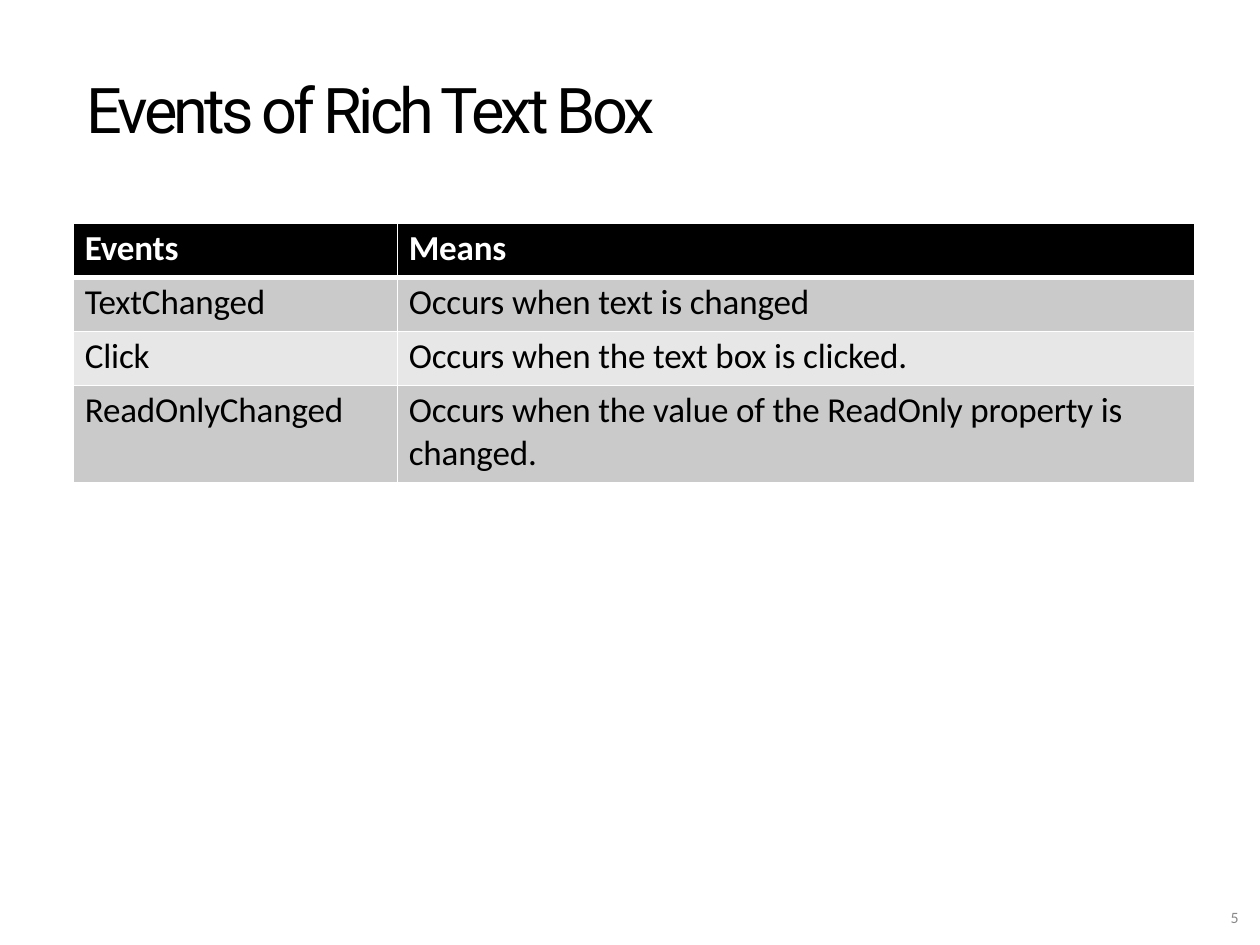
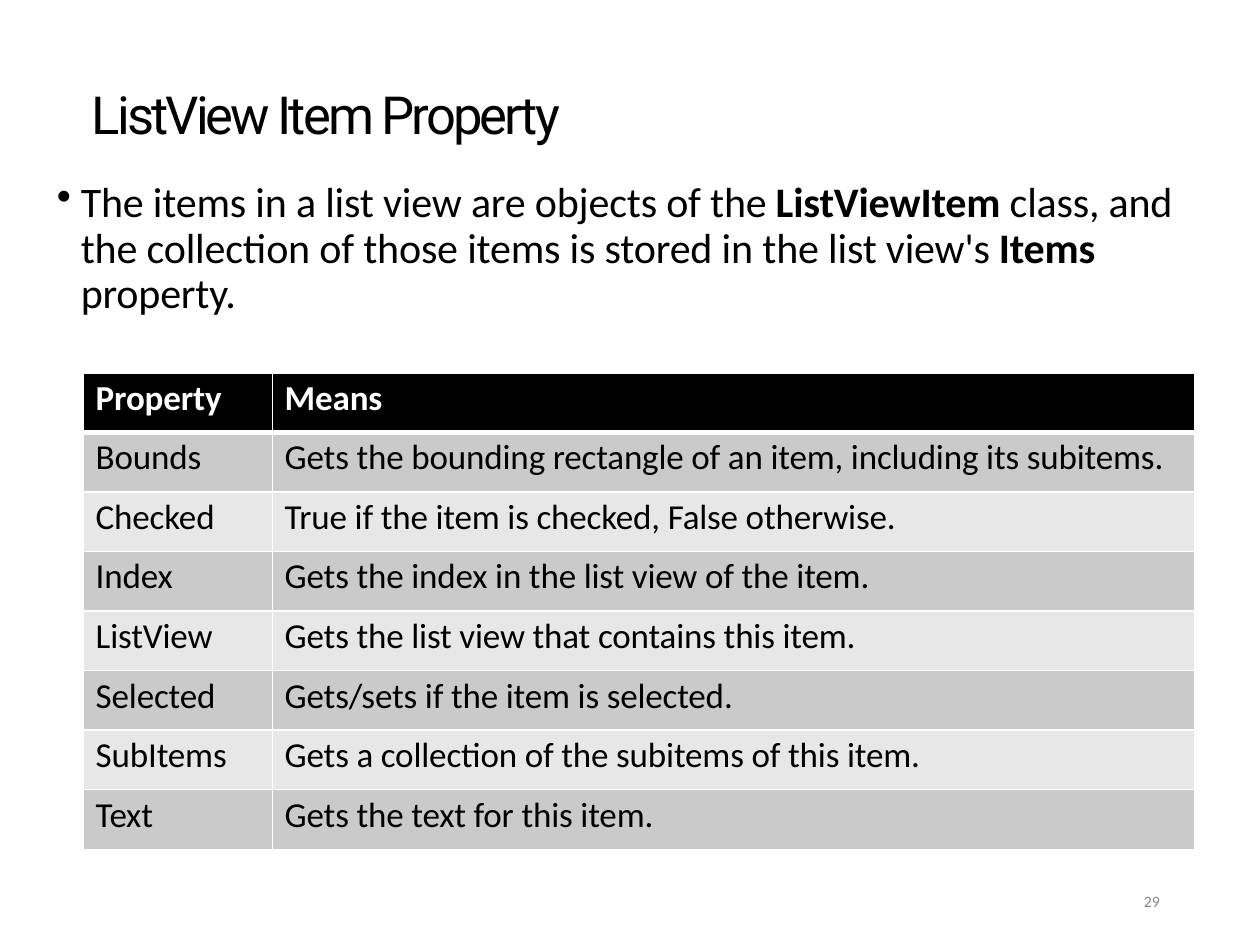
"""Build two slides on RichTextBox events and ListView item properties."""
from dataclasses import dataclass

from lxml.etree import SubElement
from pptx import Presentation
from pptx.dml.color import RGBColor
from pptx.enum.text import MSO_ANCHOR, MSO_AUTO_SIZE, PP_ALIGN
from pptx.oxml.ns import qn
from pptx.util import Cm, Pt


@dataclass(frozen=True)
class Theme:
    title_font: str = "Roboto"
    body_font: str = "Calibri"
    text: str = "000000"
    header_text: str = "FFFFFF"
    header_fill: str = "000000"
    bands: tuple = ("CACACA", "E7E7E7")
    border: str = "FFFFFF"
    page_number: str = "888888"
    body_size: float = 24
    table_size: float = 20
    number_size: float = 9
    tracking: float = -0.1


theme = Theme()


def write(paragraph, parts, font, size, color, tracking=0, bold=False):
    """Fill a paragraph with parts; every second part is emphasised."""
    paragraph.alignment = PP_ALIGN.LEFT
    paragraph.font.name = font
    paragraph.font.size = Pt(size)
    paragraph.font.bold = bold
    paragraph.font.color.rgb = RGBColor.from_string(color)
    for index, part in enumerate(parts):
        run = paragraph.add_run()
        run.text = part
        if index % 2:
            run.font.bold = True
        run._r.get_or_add_rPr().set("spc", str(round(tracking * 100)))


def prepare(shape, left, top, width, height, inset_top):
    """Place a text shape, set its margins and return its first paragraph."""
    shape.left, shape.top, shape.width, shape.height = map(Cm, (left, top, width, height))
    frame = shape.text_frame
    frame.word_wrap = True
    frame.auto_size = MSO_AUTO_SIZE.NONE
    frame.vertical_anchor = MSO_ANCHOR.TOP
    frame.margin_left = frame.margin_right = frame.margin_bottom = 0
    frame.margin_top = Cm(inset_top)
    return frame.paragraphs[0]


pages = [
    {
        "title": "Events of Rich Text Box",
        "title_box": (1.75, 1.37, 11.66, 1.6),
        "title_size": 36,
        "title_tracking": -2.2,
        "number": "5",
        "number_at": (24.71, 18.34),
        "table_at": (1.48, 4.5),
        "columns": (6.53, 16.08),
        "row_heights": (1.09, 1.09, 1.09, 1.96),
        "cell_indent": 0.23,
        "rows": [
            ("Events", "Means"),
            ("TextChanged", "Occurs when text is changed"),
            ("Click", "Occurs when the text box is clicked."),
            ("ReadOnlyChanged", "Occurs when the value of the ReadOnly property is changed."),
        ],
    },
    {
        "title": "ListView Item Property",
        "title_box": (1.85, 1.6, 11.5, 1.35),
        "title_size": 30,
        "title_tracking": -1.65,
        "number": "29",
        "number_at": (22.96, 18.01),
        "intro": ("The items in a list view are objects of the ", "ListViewItem",
                  " class, and the collection of those items is stored in the list view's ",
                  "Items", " property."),
        "table_at": (1.68, 7.52),
        "columns": (3.81, 18.59),
        "row_heights": (1.2,) * 8,
        "cell_indent": 0.25,
        "rows": [
            ("Property", "Means"),
            ("Bounds", "Gets the bounding rectangle of an item, including its subitems."),
            ("Checked", "True if the item is checked, False otherwise."),
            ("Index", "Gets the index in the list view of the item."),
            ("ListView", "Gets the list view that contains this item."),
            ("Selected", "Gets/sets if the item is selected."),
            ("SubItems", "Gets a collection of the subitems of this item."),
            ("Text", "Gets the text for this item."),
        ],
    },
]

deck = Presentation()
deck.slide_width, deck.slide_height = Cm(25.4), Cm(19.05)
title_only = deck.slide_layouts[5]

for page in pages:
    slide = deck.slides.add_slide(title_only)

    heading = prepare(slide.shapes.title, *page["title_box"], 0.05)
    write(heading, [page["title"]], theme.title_font, page["title_size"], theme.text,
          page["title_tracking"])

    page_number = prepare(slide.shapes.add_textbox(0, 0, 0, 0), *page["number_at"], 0.53, 0.38, 0)
    page_number.line_spacing = Pt(9.6)
    page_number._p.get_or_add_pPr().set("marL", str(Cm(0.1)))
    write(page_number, [page["number"]], theme.body_font, theme.number_size, theme.page_number)

    if "intro" in page:
        intro = prepare(slide.shapes.add_textbox(0, 0, 0, 0), 1.12, 3.45, 22.81, 2.92, 0.2)
        intro.line_spacing = Pt(25.9)
        bullet_properties = intro._p.get_or_add_pPr()
        bullet_properties.set("marL", str(Cm(0.51)))
        bullet_properties.set("indent", str(Cm(-0.48)))
        SubElement(bullet_properties, qn("a:buChar")).set("char", "•")
        write(intro, page["intro"], theme.body_font, theme.body_size, theme.text, theme.tracking)

    rows, columns, heights = page["rows"], page["columns"], page["row_heights"]
    left, top = page["table_at"]
    reference = slide.shapes.add_table(len(rows), len(columns), Cm(left), Cm(top),
                                       Cm(sum(columns)), Cm(sum(heights))).table
    reference.horz_banding = False
    for column, width in zip(reference.columns, columns):
        column.width = Cm(width)
    for row_index, (row, height, entries) in enumerate(zip(reference.rows, heights, rows)):
        row.height = Cm(height)
        is_header = row_index == 0
        fill = theme.header_fill if is_header else theme.bands[(row_index - 1) % 2]
        border_widths = {"L": 1, "R": 1, "T": 3 if row_index == 1 else 1, "B": 3 if is_header else 1}
        for cell, entry in zip(row.cells, entries):
            cell.margin_left, cell.margin_top = Cm(page["cell_indent"]), Cm(0.08)
            cell.margin_right = cell.margin_bottom = 0
            cell_properties = cell._tc.get_or_add_tcPr()
            for side, width in border_widths.items():
                border = SubElement(cell_properties, qn(f"a:ln{side}"), w=str(Pt(width)))
                border_fill = SubElement(border, qn("a:solidFill"))
                SubElement(border_fill, qn("a:srgbClr")).set("val", theme.border)
            cell.fill.solid()
            cell.fill.fore_color.rgb = RGBColor.from_string(fill)
            write(cell.text_frame.paragraphs[0], [entry], theme.body_font, theme.table_size,
                  theme.header_text if is_header else theme.text, theme.tracking, is_header)

deck.save("out.pptx")
